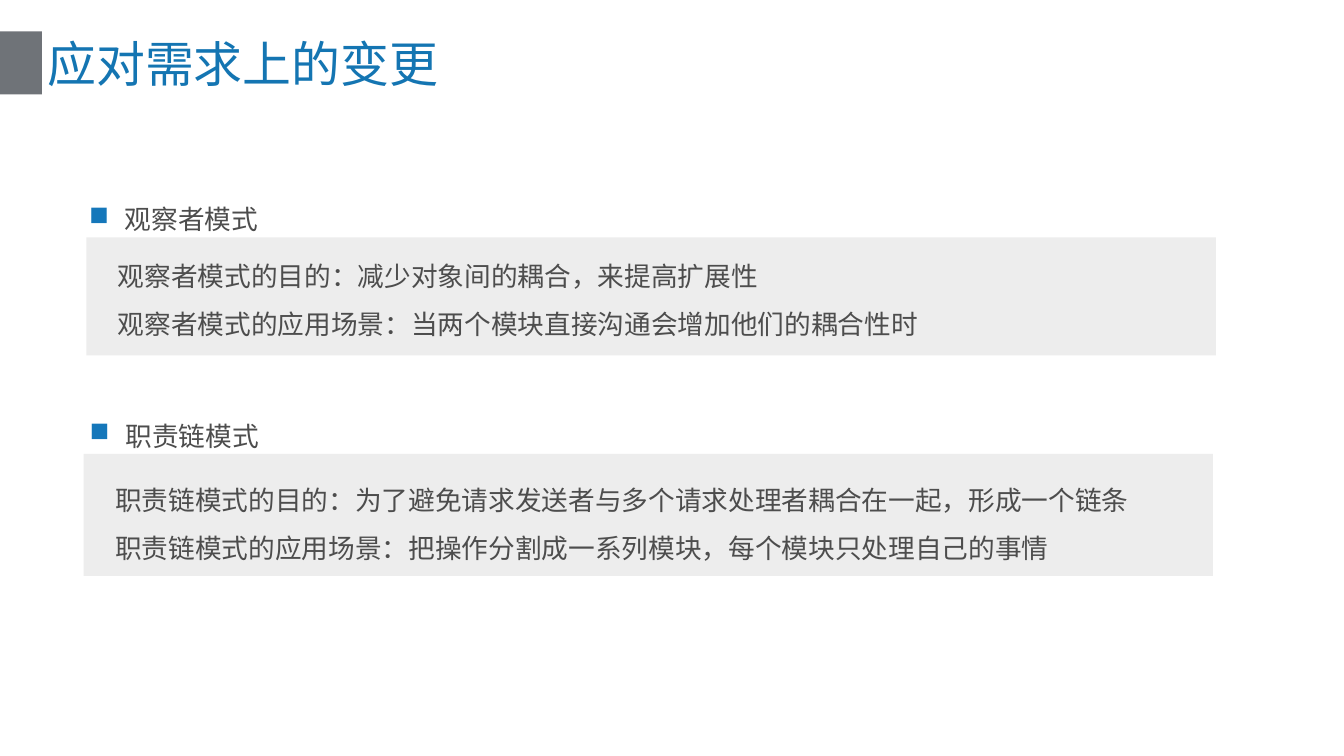
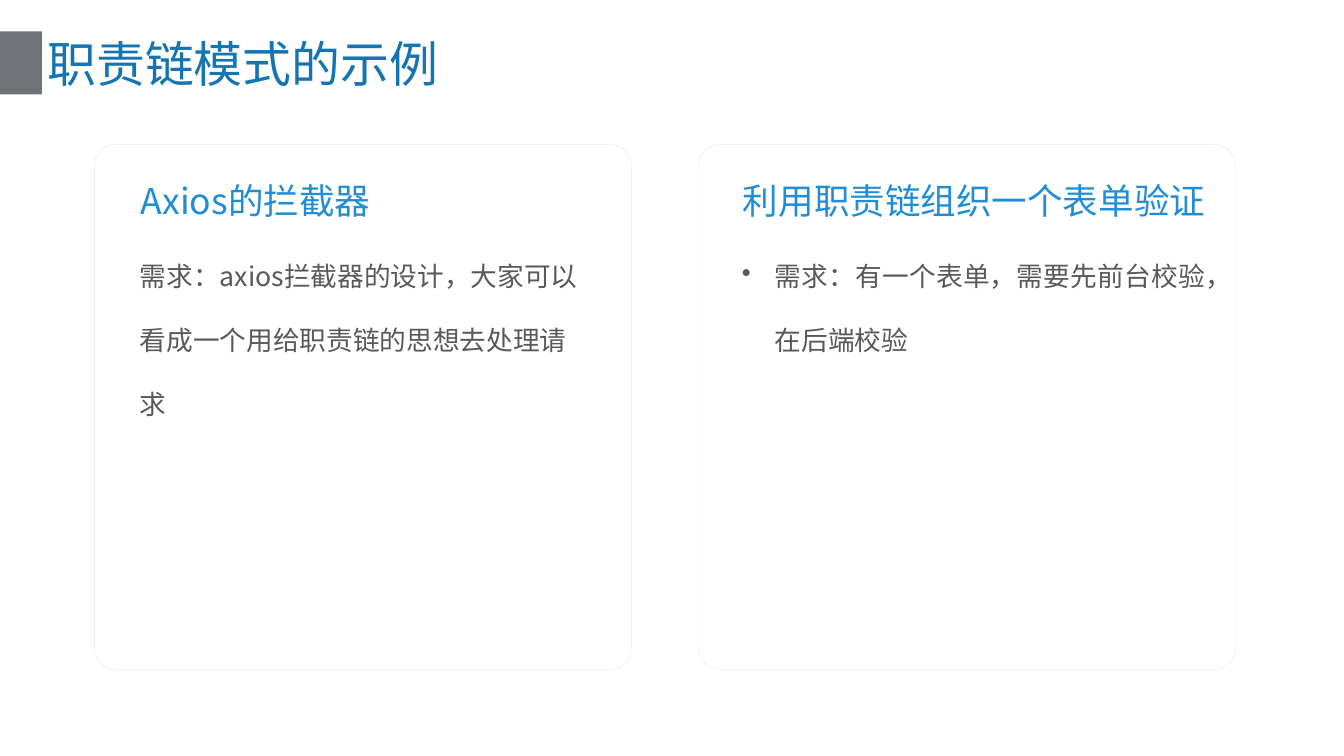
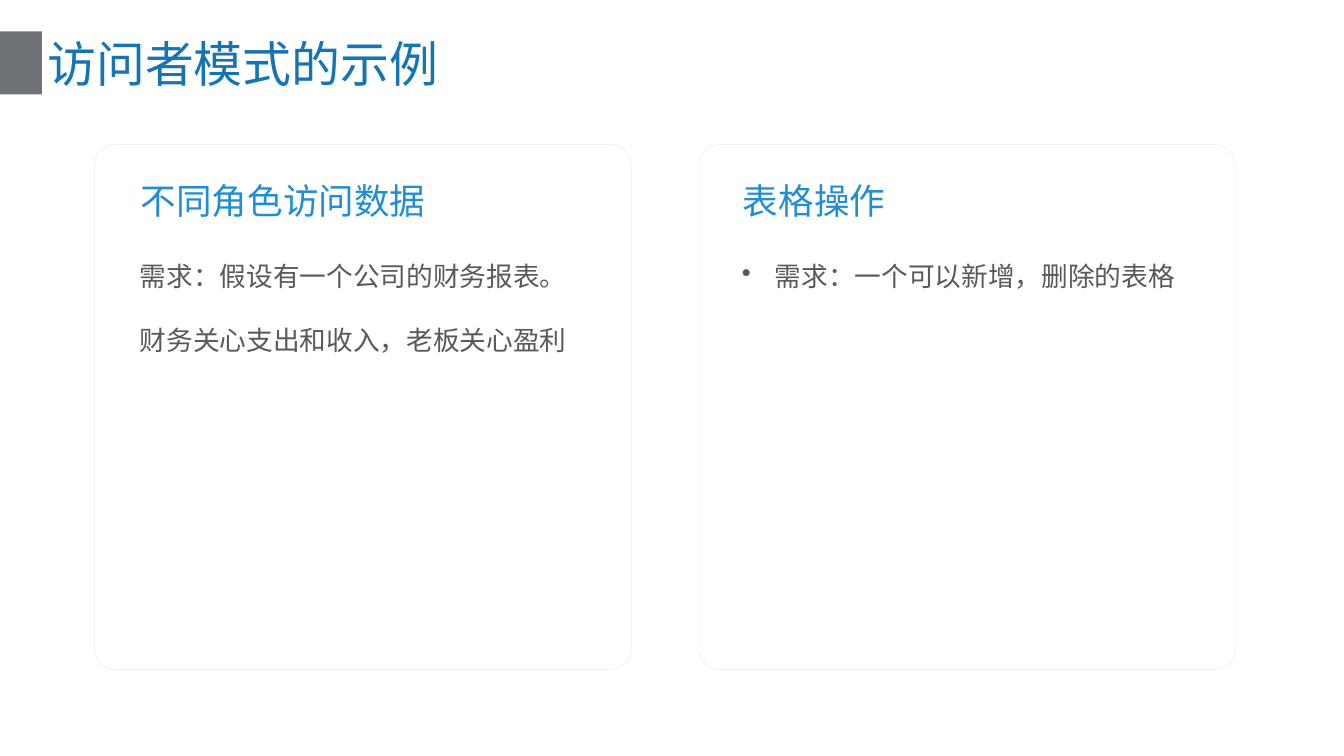
from lxml.etree import SubElement
from pptx import Presentation
from pptx.dml.color import RGBColor
from pptx.enum.shapes import MSO_SHAPE
from pptx.enum.text import MSO_ANCHOR, PP_ALIGN
from pptx.oxml.ns import qn
from pptx.util import Cm, Pt

RECT, ROUND = MSO_SHAPE.RECTANGLE, MSO_SHAPE.ROUNDED_RECTANGLE
TOP, MIDDLE = MSO_ANCHOR.TOP, MSO_ANCHOR.MIDDLE
JUSTIFY = PP_ALIGN.JUSTIFY
FONT = "Noto Sans CJK SC"
GREY, PALE, EDGE = "6F7378", "EDEDED", "D9D9D9"
BLUE = "1577BA"

# Content: lengths are centimetres.
TOPICS = (
    "应对需求上的变更",
    [
        dict(name="观察者模式", head=(3.99, 8.77), panel=(4.12, 11.3, 53.78, 5.63),
             text=(5.36, 11.5),
             lines=["观察者模式的目的：减少对象间的耦合，来提高扩展性",
                    "观察者模式的应用场景：当两个模块直接沟通会增加他们的耦合性时"]),
        dict(name="职责链模式", head=(4.02, 19.08), panel=(3.98, 21.62, 53.78, 5.8),
             text=(5.23, 22.17),
             lines=["职责链模式的目的：为了避免请求发送者与多个请求处理者耦合在一起，形成一个链条",
                    "职责链模式的应用场景：把操作分割成一系列模块，每个模块只处理自己的事情"]),
    ],
)
# Each card: heading, heading width, body, count of body rows
SAMPLES = [
    ("职责链模式的示例", [
        ("Axios的拦截器", 11.53,
         "需求：axios拦截器的设计，大家可以看成一个用给职责链的思想去处理请求", 3),
        ("利用职责链组织一个表单验证", 22.6,
         "需求：有一个表单，需要先前台校验，在后端校验", 2)]),
    ("访问者模式的示例", [
        ("不同角色访问数据", 14.05,
         "需求：假设有一个公司的财务报表。财务关心支出和收入，老板关心盈利", 2),
        ("表格操作", 7.21, "需求：一个可以新增，删除的表格", 1)]),
]

# Text styles
TITLE = dict(size=66, color="1475B2", anchor=MIDDLE)
PLAIN = dict(size=36, color="4D4D4D", para=dict(line_spacing=1.5))
TOPIC = dict(PLAIN, mark="■", tint=BLUE, indent=1.7)
HEAD = dict(size=48, color="218DD6", anchor=MIDDLE, inset=(0.18, 0.18))
BODY = dict(size=36, color="595959", inset=(0.13, 0.13), para=dict(line_spacing=2.0))
POINT = dict(BODY, mark="•", indent=1.57,
             para=dict(line_spacing=2.0, alignment=JUSTIFY))

# Cards: left edge, text left, body top, body width, body style
COLUMNS = [(4.5, 6.53, 10.74, 21.31, BODY), (33.27, 35.2, 10.72, 22.33, POINT)]
CARD = dict(top=6.88, width=25.57, height=25)


def paint(code):
    """Turn a hex string into a colour."""
    return RGBColor.from_string(code)


def fit(obj, values):
    """Set attributes from a dict."""
    for key, value in values.items():
        setattr(obj, key, value)


def draw(slide, kind, box, fill=None, edge=None):
    """Add a flat preset shape."""
    shape = slide.shapes.add_shape(kind, *map(Cm, box))
    shape.shadow.inherit = False
    if fill:
        shape.fill.solid()
        shape.fill.fore_color.rgb = paint(fill)
    else:
        shape.fill.background()
    if edge:
        shape.line.color.rgb = paint(edge)
        shape.line.width = Pt(0.25)
    else:
        shape.line.fill.background()
    return shape


def bullet(para, mark, indent, tint):
    """Give a paragraph a hanging bullet."""
    props = para._p.get_or_add_pPr()
    props.set("marL", str(Cm(indent)))
    props.set("indent", str(-Cm(indent)))
    color = SubElement(props, qn("a:buClr"))
    SubElement(color, qn("a:srgbClr"), val=tint)
    SubElement(props, qn("a:buChar"), char=mark)


def write(slide, box, lines, style):
    """Add a text box with one paragraph per line."""
    frame = slide.shapes.add_textbox(*map(Cm, box)).text_frame
    side, edge = map(Cm, style.get("inset", (0.25, 0.13)))
    fit(frame, dict(word_wrap=True, vertical_anchor=style.get("anchor", TOP),
                    margin_left=side, margin_right=side,
                    margin_top=edge, margin_bottom=edge))
    for row, line in enumerate(lines):
        para = frame.add_paragraph() if row else frame.paragraphs[0]
        fit(para, style.get("para", {}))
        if "mark" in style:
            bullet(para, style["mark"], style["indent"],
                   style.get("tint", style["color"]))
        run = para.add_run()
        run.text = line
        fit(run.font, dict(name=FONT, size=Pt(style["size"])))
        run.font.color.rgb = paint(style["color"])
        SubElement(run.font._element, qn("a:ea"), typeface=FONT)


def start(deck, title):
    """Add a blank slide with the shared band and title."""
    slide = deck.slides.add_slide(deck.slide_layouts[6])
    draw(slide, RECT, (0, 1.5, 2, 3), GREY)
    write(slide, (2, 1.45, 60, 3.05), [title], TITLE)
    return slide


def topics(deck, title, parts):
    """Build a slide of bulleted names above grey panels."""
    slide = start(deck, title)
    for part in parts:
        draw(slide, RECT, part["panel"], PALE)
        write(slide, (*part["head"], 51.14, 2.32), [part["name"]], TOPIC)
        write(slide, (*part["text"], 51.14, 4.87), part["lines"], PLAIN)


def cards(deck, title, items):
    """Build a slide of two outlined cards."""
    slide = start(deck, title)
    for item, column in zip(items, COLUMNS):
        name, span, body, rows = item
        left, inner, top, width, style = column
        card = draw(slide, ROUND, (left, CARD["top"], CARD["width"], CARD["height"]),
                    edge=EDGE)
        card.adjustments[0] = 0.04
        write(slide, (inner, top, width, 0.2 + 3.1 * rows), [body], style)
        write(slide, (inner, 8.3, span, 2.45), [name], HEAD)


def main():
    """Build and save the deck."""
    deck = Presentation()
    fit(deck, dict(slide_width=Cm(64), slide_height=Cm(36)))
    topics(deck, *TOPICS)
    for title, items in SAMPLES:
        cards(deck, title, items)
    deck.save("out.pptx")


main()
